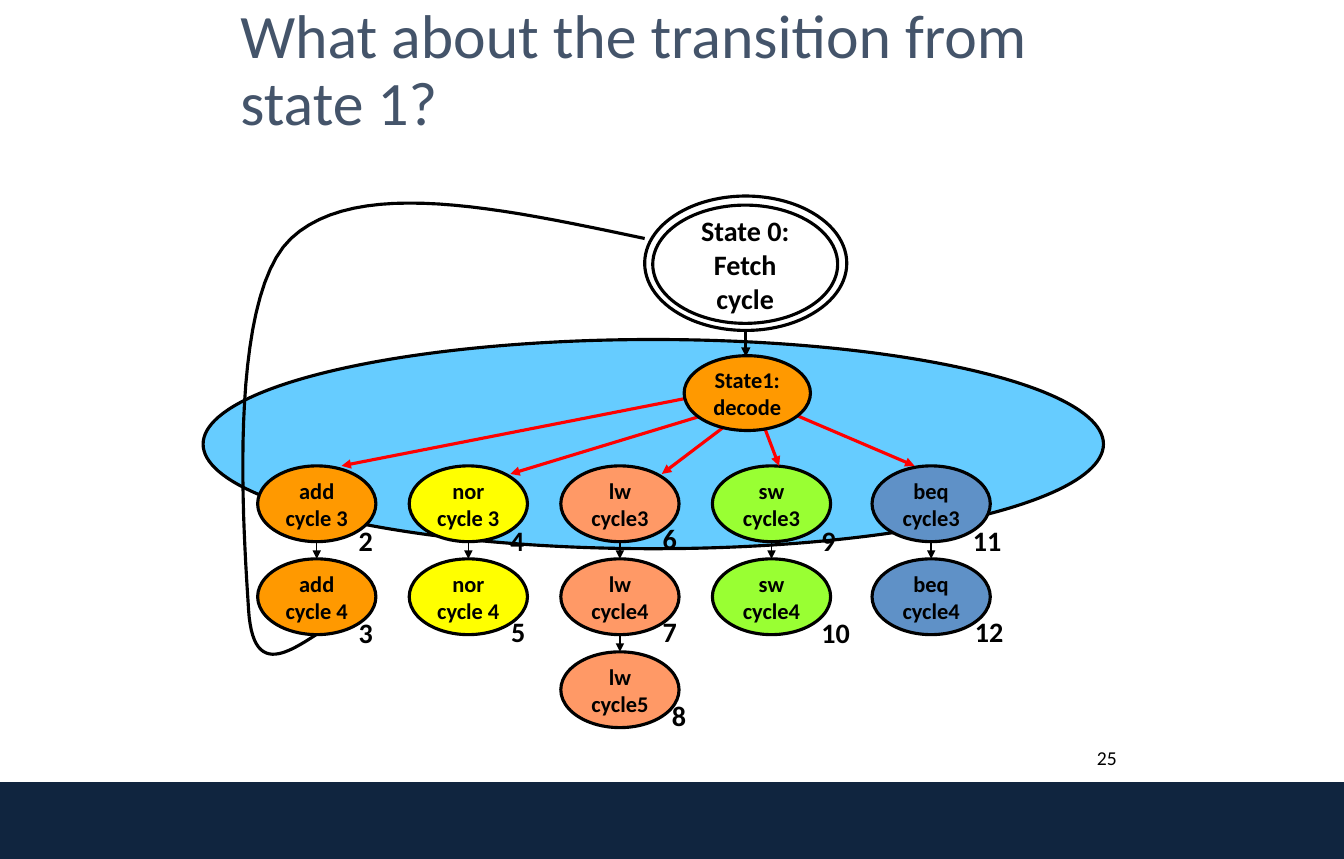
"""Build the slide on state transitions out of the decode state."""
from lxml.etree import SubElement
from pptx import Presentation
from pptx.dml.color import RGBColor
from pptx.enum.shapes import MSO_CONNECTOR as Link, MSO_SHAPE as Kind
from pptx.enum.text import MSO_ANCHOR as Anchor, PP_ALIGN as Align
from pptx.oxml.ns import qn
from pptx.util import Inches, Pt

Hex = RGBColor.from_string
BLACK, RED, ORANGE = "000000", "FF0000", "FF9900"

deck = Presentation()
deck.slide_width, deck.slide_height = Inches(13.3), Inches(8.5)
slide = deck.slides.add_slide(deck.slide_layouts[6])
shapes = slide.shapes


def write(shape, text, size, bold=False, color=BLACK, align=Align.LEFT, anchor=Anchor.TOP):
    frame = shape.text_frame
    frame.word_wrap = True
    frame.vertical_anchor = anchor
    frame.text = text
    for para in frame.paragraphs:
        para.alignment = align
        for run in para.runs:
            font = run.font
            font.name, font.size, font.bold = "Calibri", Pt(size), bold
            font.color.rgb = Hex(color)


def oval(left, top, width, height, fill=None, text="", size=16):
    shape = shapes.add_shape(Kind.OVAL, Inches(left), Inches(top), Inches(width), Inches(height))
    shape.shadow.inherit = False
    if fill:
        shape.fill.solid()
        shape.fill.fore_color.rgb = Hex(fill)
    else:
        shape.fill.background()
    shape.line.color.rgb = Hex(BLACK)
    shape.line.width = Pt(2.25)
    if text:
        write(shape, text, size, True, align=Align.CENTER, anchor=Anchor.MIDDLE)


band = shapes.add_shape(Kind.RECTANGLE, 0, Inches(7.74), deck.slide_width, Inches(0.76))
band.shadow.inherit = False
band.fill.solid()
band.fill.fore_color.rgb = Hex("10253F")
band.line.fill.background()

page = shapes.add_textbox(Inches(8.82), Inches(7.33), Inches(2.33), Inches(0.52))
write(page, "25", 14, align=Align.RIGHT)

oval(2.01, 3.36, 8.91, 2.07, "66CCFF")

title = shapes.add_textbox(Inches(2.28), Inches(0.5), Inches(8.75), Inches(0.92))
write(title, "What about the transition from state 1?", 44, color="44546A", anchor=Anchor.BOTTOM)
title.text_frame.paragraphs[0].line_spacing = 0.9

bends = [
    [(3.13, 6.28), (2.82, 6.48), (2.5, 6.68), (2.46, 6.03)],
    [(2.46, 6.03), (2.42, 5.37), (2.23, 2.97), (2.88, 2.36)],
    [(2.88, 2.36), (3.53, 1.75), (4.96, 2.06), (6.38, 2.36)],
]
steps = 24
points = []
for bend in bends:
    for step in range(1, steps + 1):
        t = step / steps
        parts = [(1 - t) ** 3, 3 * t * (1 - t) ** 2, 3 * t * t * (1 - t), t ** 3]
        points.append([Inches(sum(p * spot[axis] for p, spot in zip(parts, bend))) for axis in (0, 1)])
start = bends[0][0]
outline = shapes.build_freeform(Inches(start[0]), Inches(start[1]))
outline.add_line_segments(points, close=False)
loop = outline.convert_to_shape()
loop.shadow.inherit = False
loop.fill.background()
loop.line.color.rgb = Hex(BLACK)
loop.line.width = Pt(2.25)

wide, high, pitch, first = 1.17, 0.75, 0.92, 4.61
columns = [
    (2.55, ORANGE, ["add\ncycle 3", "add\ncycle 4"]),
    (4.05, "FFFF00", ["nor\ncycle 3", "nor\ncycle 4"]),
    (5.55, "FF9966", ["lw\ncycle3", "lw\ncycle4", "lw\ncycle5"]),
    (7.05, "99FF33", ["sw\ncycle3", "sw\ncycle4"]),
    (8.63, "5F91C7", ["beq\ncycle3", "beq\ncycle4"]),
]

arrows = [
    (7.38, 3.28, 7.38, 3.53, BLACK, 2.25),
    (6.8, 3.94, 3.38, 4.61, RED, 2.25),
    (6.96, 4.11, 5.05, 4.69, RED, 2.25),
    (7.21, 4.19, 6.55, 4.69, RED, 2.25),
    (7.55, 4.19, 7.71, 4.61, RED, 2.25),
    (7.88, 4.11, 9.05, 4.61, RED, 2.25),
]
for left, fill, names in columns:
    mid = left + wide / 2
    for row, name in enumerate(names):
        top = first + row * pitch
        oval(left, top, wide, high, fill, name)
        if row:
            arrows.append((mid, top - pitch + high, mid, top, BLACK, 1))

for x1, y1, x2, y2, color, width in arrows:
    arrow = shapes.add_connector(Link.STRAIGHT, Inches(x1), Inches(y1), Inches(x2), Inches(y2))
    arrow.line.color.rgb = Hex(color)
    arrow.line.width = Pt(width)
    SubElement(arrow.line._get_or_add_ln(), qn("a:tailEnd"), type="triangle")
    SubElement(arrow._element.spPr, qn("a:effectLst"))

labels = [
    ("2", 3.45, 5.13), ("3", 3.45, 6.04), ("4", 4.95, 5.13), ("5", 4.96, 6.03),
    ("6", 6.46, 5.11), ("7", 6.46, 6.03), ("8", 6.55, 6.86), ("9", 8.03, 5.13),
    ("10", 8.03, 6.04), ("11", 9.53, 5.13), ("12", 9.55, 6.03),
]
for number, left, top in labels:
    label = shapes.add_textbox(Inches(left), Inches(top), Inches(0.19 + 0.15 * len(number)), Inches(0.44))
    write(label, number, 20, True)

oval(6.77, 3.52, 1.25, 0.74, ORANGE, "State1:\ndecode")
oval(6.46, 2.03, 1.83, 1.17, text="State 0:\nFetch cycle", size=20)
oval(6.38, 1.94, 2, 1.33)

deck.save("out.pptx")
